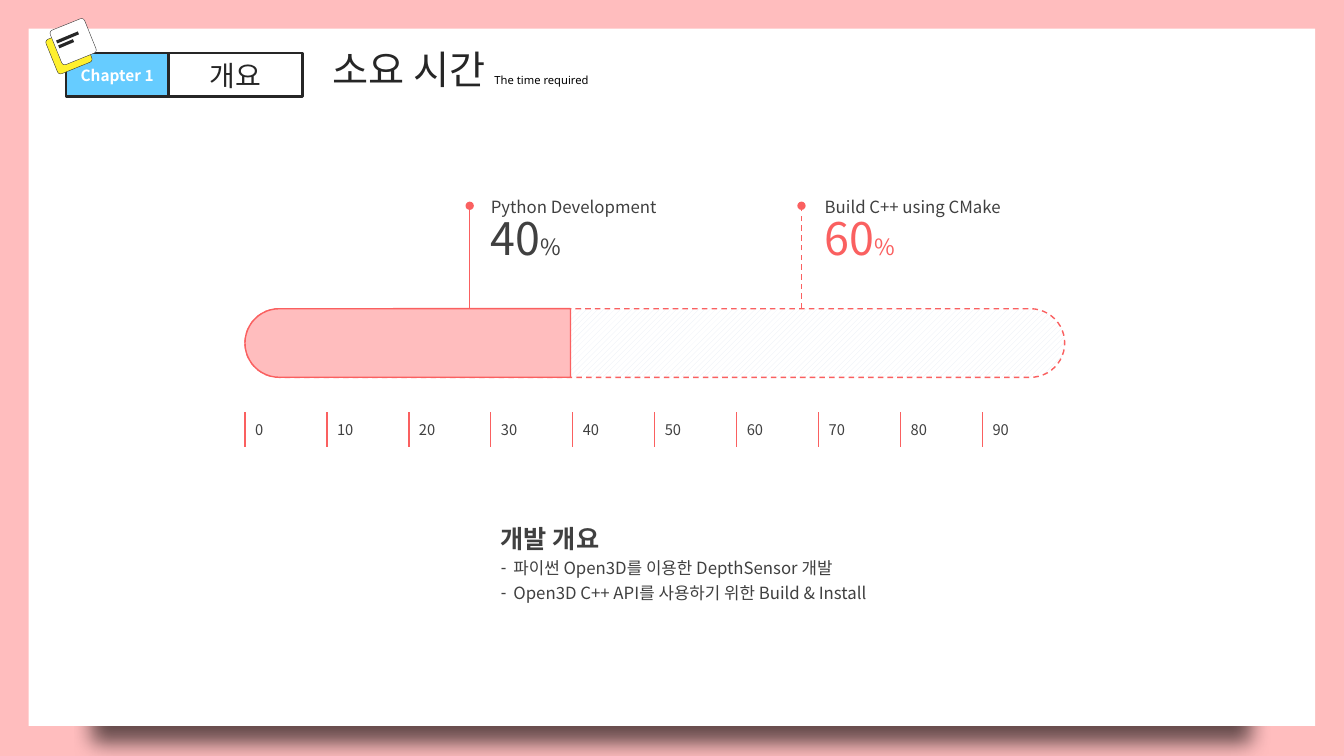
from dataclasses import dataclass

from lxml.etree import SubElement
from pptx import Presentation
from pptx.dml.color import RGBColor
from pptx.enum.dml import MSO_LINE, MSO_PATTERN
from pptx.enum.shapes import MSO_CONNECTOR, MSO_SHAPE
from pptx.enum.text import MSO_ANCHOR, MSO_AUTO_SIZE, PP_ALIGN
from pptx.oxml import parse_xml
from pptx.oxml.ns import nsdecls, qn
from pptx.util import Pt


@dataclass(frozen=True)
class Theme:
    pink: str = "FFBDBE"
    coral: str = "FA6060"
    blue: str = "66CCFF"
    yellow: str = "FFF02D"
    white: str = "FFFFFF"
    black: str = "000000"
    ink: str = "262626"
    grey: str = "404040"
    hatch: str = "E8EDF5"
    korean: str = "Noto Sans CJK KR"
    latin: str = "Noto Sans"
    title: float = 28
    chapter: float = 20
    heading: float = 18
    number: float = 32
    percent: float = 16
    body: float = 12
    badge: float = 11
    scale: float = 10.5
    caption: float = 8
    loose: float = 1.23
    tight: float = 0.88


@dataclass(frozen=True)
class Words:
    text: str
    size: float
    color: str
    bold: bool = False
    face: str = Theme.korean


class SlideBuilder:
    def __init__(self, theme, slide):
        self.theme = theme
        self.slide = slide

    def background(self, color):
        fill = self.slide.background.fill
        fill.solid()
        fill.fore_color.rgb = RGBColor.from_string(color)

    def style_font(self, font, words):
        font.name = words.face
        font.size = Pt(words.size)
        font.bold = words.bold
        font.color.rgb = RGBColor.from_string(words.color)
        SubElement(font._rPr, qn("a:ea")).set("typeface", words.face)

    def set_paragraph(self, paragraph, runs, align=PP_ALIGN.LEFT, spacing=None, bullet=None):
        paragraph.alignment = align
        paragraph.space_before = Pt(0)
        if spacing:
            paragraph.line_spacing = spacing
        properties = paragraph._p.get_or_add_pPr()
        hang = Pt(9) if bullet else 0
        properties.set("marL", str(hang))
        properties.set("indent", str(-hang))
        if bullet:
            SubElement(properties, qn("a:buChar")).set("char", bullet)
        else:
            SubElement(properties, qn("a:buNone"))
        for words in runs:
            run = paragraph.add_run()
            run.text = words.text
            if len(runs) > 1:
                self.style_font(run.font, words)
        if len(runs) == 1:
            self.style_font(paragraph.font, runs[0])

    def fill_frame(self, frame, paragraphs):
        frame.word_wrap = True
        frame.auto_size = MSO_AUTO_SIZE.NONE
        frame.vertical_anchor = MSO_ANCHOR.TOP
        for index, (runs, spacing, bullet) in enumerate(paragraphs):
            paragraph = frame.add_paragraph() if index else frame.paragraphs[0]
            self.set_paragraph(paragraph, runs, spacing=spacing, bullet=bullet)

    def placeholder(self, index, box, paragraphs):
        holder = self.slide.placeholders[index]
        holder.left, holder.top, holder.width, holder.height = map(Pt, box)
        self.fill_frame(holder.text_frame, paragraphs)

    def text(self, box, paragraphs):
        label = self.slide.shapes.add_textbox(*map(Pt, box))
        self.fill_frame(label.text_frame, paragraphs)

    def stroke(self, line, color, width, dashed=False):
        line.color.rgb = RGBColor.from_string(color)
        line.width = Pt(width)
        if dashed:
            line.dash_style = MSO_LINE.DASH

    def shape(self, kind, box, fill, line=None, width=1, dashed=False, hatch=None,
              adjust=(), rotation=0, words=None):
        form = self.slide.shapes.add_shape(kind, *map(Pt, box))
        form.shadow.inherit = False
        form.rotation = rotation
        for index, value in enumerate(adjust):
            form.adjustments[index] = value
        if hatch:
            form.fill.patterned()
            form.fill.pattern = MSO_PATTERN.WIDE_UPWARD_DIAGONAL
            form.fill.fore_color.rgb = RGBColor.from_string(hatch)
            form.fill.back_color.rgb = RGBColor.from_string(fill)
        else:
            form.fill.solid()
            form.fill.fore_color.rgb = RGBColor.from_string(fill)
        if line:
            self.stroke(form.line, line, width, dashed)
        else:
            form.line.fill.background()
        if words:
            form.text_frame.vertical_anchor = MSO_ANCHOR.MIDDLE
            self.set_paragraph(form.text_frame.paragraphs[0], [words], PP_ALIGN.CENTER)
        return form

    def sheet(self, box):
        paper = self.shape(MSO_SHAPE.RECTANGLE, box, self.theme.white)
        effects = paper._element.spPr.find(qn("a:effectLst"))
        effects.append(parse_xml(
            f'<a:outerShdw {nsdecls("a")} blurRad="{Pt(15)}" dist="{Pt(12)}" dir="5400000" '
            f'sx="90000" sy="90000" algn="b" rotWithShape="0">'
            f'<a:srgbClr val="{self.theme.black}"><a:alpha val="60000"/></a:srgbClr>'
            f'</a:outerShdw>'))

    def line(self, start, end, color, width, dashed=False, dot=False):
        link = self.slide.shapes.add_connector(MSO_CONNECTOR.STRAIGHT, *map(Pt, start + end))
        self.stroke(link.line, color, width, dashed)
        if dot:
            SubElement(link.line._get_or_add_ln(), qn("a:tailEnd")).set("type", "oval")
        SubElement(link._element.spPr, qn("a:effectLst"))

    def scale(self, box, values):
        theme = self.theme
        table = self.slide.shapes.add_table(1, len(values), *map(Pt, box)).table
        table.first_row = table.horz_banding = False
        for column, value in enumerate(values):
            table.columns[column].width = Pt(box[2] / len(values))
            cell = table.cell(0, column)
            cell.vertical_anchor = MSO_ANCHOR.MIDDLE
            self.set_paragraph(cell.text_frame.paragraphs[0],
                               [Words(str(value), theme.scale, theme.grey)])
            edges = {"L": True, "R": value != values[-1], "T": False, "B": False}
            for side, drawn in edges.items():
                border = SubElement(cell._tc.get_or_add_tcPr(), qn(f"a:ln{side}"), w=str(Pt(1)))
                paint = SubElement(border, qn("a:solidFill" if drawn else "a:noFill"))
                if drawn:
                    SubElement(paint, qn("a:srgbClr")).set("val", theme.coral)
            cell.fill.background()


def main():
    theme = Theme()
    deck = Presentation()
    deck.slide_width, deck.slide_height = Pt(960), Pt(540)
    page = SlideBuilder(theme, deck.slides.add_slide(deck.slide_layouts[1]))
    page.background(theme.pink)
    page.sheet((20.5, 20.5, 919, 498))
    holders = [holder._element for holder in page.slide.placeholders]
    for holder in holders:
        holder.getparent().append(holder)

    page.shape(MSO_SHAPE.RECTANGLE, (120.5, 38, 95.5, 31), theme.white, theme.ink, 1.75,
               words=Words("개요", theme.chapter, theme.ink))
    page.shape(MSO_SHAPE.RECTANGLE, (47, 38, 73.5, 31), theme.blue, theme.ink, 1.75,
               words=Words("Chapter 1", theme.badge, theme.white, True))
    page.placeholder(0, (230.5, 33, 463, 41), [
        ([Words("소요 시간 ", theme.title, theme.ink),
          Words("The time required", theme.caption, theme.black, face=theme.latin)],
         theme.tight, None)])

    for corner, color in (((36, 23), theme.yellow), ((39, 16.5), theme.white)):
        page.shape(MSO_SHAPE.ROUNDED_RECTANGLE, corner + (26.5, 26.5), color, theme.ink, 0.25,
                   adjust=[0.09], rotation=-22)
    for start, end in (((40.5, 30), (56, 23.5)), ((42, 33.5), (52.5, 29))):
        page.line(start, end, theme.ink, 2.25)

    left, top, width, height, done = 175, 220.5, 585.5, 49, 232.5
    page.shape(MSO_SHAPE.ROUNDED_RECTANGLE, (left, top, width, height), theme.white,
               theme.coral, dashed=True, hatch=theme.hatch, adjust=[0.5])
    page.shape(MSO_SHAPE.ROUND_2_SAME_RECTANGLE,
               (left + (done - height) / 2, top - (done - height) / 2, height, done),
               theme.pink, theme.coral, adjust=[0.5, 0], rotation=270)

    callouts = (
        (335.5, 343.5, "Python Development", "40", theme.grey, False),
        (572.5, 582, "Build C++ using CMake", "60", theme.coral, True),
    )
    for stem, start, task, share, color, dashed in callouts:
        page.line((stem, top), (stem, 147), theme.coral, 1, dashed, dot=True)
        page.text((start, 134, 152, 68), [
            ([Words(task, theme.body, theme.grey)], theme.loose, None),
            ([Words(share, theme.number, color), Words("%", theme.percent, color)],
             theme.tight, None)])

    page.scale((left, 294.5, width, 24.5), range(0, 100, 10))

    tasks = ("파이썬 Open3D를 이용한 DepthSensor 개발",
             "Open3D C++ API를 사용하기 위한 Build & Install")
    page.placeholder(1, (350.5, 365, 278, 82), [
        ([Words("개발 개요", theme.heading, theme.grey, True)], theme.loose, None),
        *(([Words(task, theme.body, theme.grey)], theme.loose, "-") for task in tasks)])

    deck.save("out.pptx")


if __name__ == "__main__":
    main()
